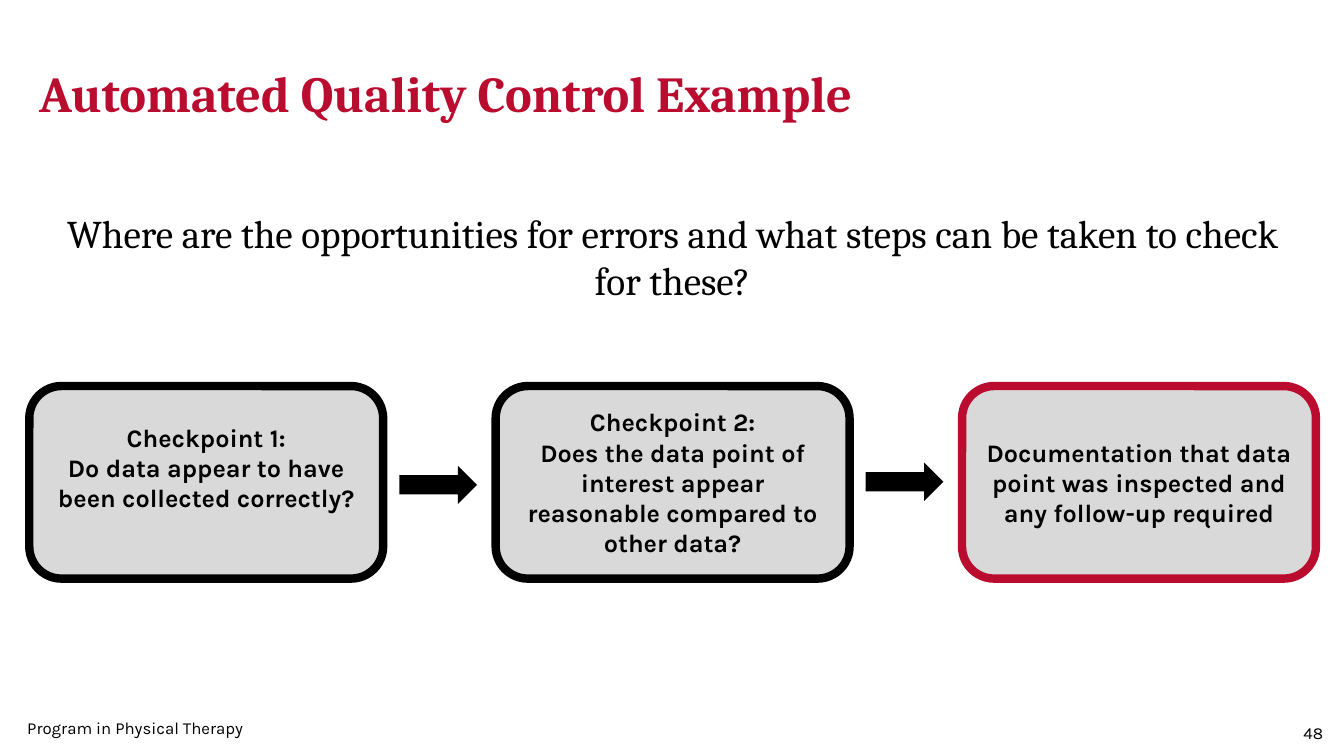
"""Build the automated quality control slide on a grid of 100 columns by 100 rows."""
from dataclasses import dataclass

import pptx
import pptx.dml.color
import pptx.enum.shapes
import pptx.enum.text
import pptx.util

SHAPES = pptx.enum.shapes.MSO_SHAPE
ALIGN = pptx.enum.text.PP_ALIGN
ANCHOR = pptx.enum.text.MSO_ANCHOR
SLIDE_WIDTH = pptx.util.Inches(13.33)
SLIDE_HEIGHT = pptx.util.Inches(7.5)
INSET = pptx.util.Inches(0.1)
BLACK, CRIMSON, GREY = "000000", "BA0C2F", "D9D9D9"
STEP_LEFT, STEP_TOP, STEP_PITCH = 2.18, 51.07, 34.7
STEP_WIDTH, STEP_HEIGHT = 26.33, 25.47
ARROW_LEFT, ARROW_TOPS = 29.71, (61.6, 61.2)


@dataclass(frozen=True)
class Area:
    """A place on the grid, in columns and rows."""
    left: float
    top: float
    width: float
    height: float

    def lengths(self) -> tuple[int, int, int, int]:
        """Return left, top, width and height as slide lengths."""
        return (column(self.left), row(self.top),
                column(self.width), row(self.height))


@dataclass(frozen=True)
class Label:
    """A piece of free text with its look."""
    area: Area
    text: str
    size: int
    font: str = "Karla"
    color: str = BLACK
    bold: bool = False
    align: ALIGN = ALIGN.LEFT
    anchor: ANCHOR = ANCHOR.TOP
    inset: float = 1


@dataclass(frozen=True)
class Step:
    """One box of the checking process."""
    lines: tuple[str, ...]
    outline: str = BLACK
    bottom_inset: float = 0.05


LABELS = (
    Label(Area(95.35, 94.93, 4.73, 4), "48", 12, align=ALIGN.CENTER),
    Label(Area(2.03, 94.93, 72.32, 2.67), "Program in Physical Therapy", 12, inset=0),
    Label(Area(2.18, 5.07, 79.14, 14.27), "Automated Quality Control Example", 36,
          "Cambria", CRIMSON, True, anchor=ANCHOR.MIDDLE),
    Label(Area(3.6, 27.07, 92.87, 13.07),
          "Where are the opportunities for errors and what steps can be taken "
          "to check for these?", 28, "Cambria", align=ALIGN.CENTER),
)
STEPS = (
    Step(("Checkpoint 1:", "Do data appear to have been collected correctly?"),
         bottom_inset=0.35),
    Step(("Checkpoint 2:", "Does the data point of interest appear reasonable "
          "compared to other data?")),
    Step(("Documentation that data point was inspected and any follow-up required",),
         CRIMSON),
)


def column(count: float) -> int:
    """Return the length of a number of columns."""
    return round(SLIDE_WIDTH * count / 100)


def row(count: float) -> int:
    """Return the length of a number of rows."""
    return round(SLIDE_HEIGHT * count / 100)


def rgb(value: str) -> pptx.dml.color.RGBColor:
    """Turn a hex string into a colour."""
    return pptx.dml.color.RGBColor.from_string(value)


def apply(target: object, values: dict[str, object]) -> None:
    """Set each named attribute on the target."""
    for name, value in values.items():
        setattr(target, name, value)


def write(frame, lines: tuple[str, ...], align: ALIGN, color: str,
          font: dict[str, object]) -> None:
    """Fill a text frame with one paragraph per line."""
    frame.text = "\n".join(lines)
    for paragraph in frame.paragraphs:
        paragraph.alignment = align
        apply(paragraph.runs[0].font, font)
        paragraph.runs[0].font.color.rgb = rgb(color)


def draw_label(slide, label: Label) -> None:
    """Draw a text box."""
    frame = slide.shapes.add_textbox(*label.area.lengths()).text_frame
    side, end = round(INSET * label.inset), round(INSET * label.inset / 2)
    apply(frame, {"word_wrap": True, "vertical_anchor": label.anchor,
                  "margin_left": side, "margin_right": side,
                  "margin_top": end, "margin_bottom": end})
    write(frame, (label.text,), label.align, label.color,
          {"name": label.font, "size": pptx.util.Pt(label.size), "bold": label.bold})


def draw_shape(slide, kind: SHAPES, area: Area, fill: str):
    """Draw a flat filled shape without an outline."""
    shape = slide.shapes.add_shape(kind, *area.lengths())
    shape.shadow.inherit = False
    shape.fill.solid()
    shape.fill.fore_color.rgb = rgb(fill)
    shape.line.fill.background()
    return shape


def draw_step(slide, index: int, step: Step) -> None:
    """Draw one outlined box of the process."""
    area = Area(STEP_LEFT + index * STEP_PITCH, STEP_TOP, STEP_WIDTH, STEP_HEIGHT)
    box = draw_shape(slide, SHAPES.ROUNDED_RECTANGLE, area, GREY)
    box.line.color.rgb = rgb(step.outline)
    box.line.width = pptx.util.Pt(6)
    apply(box.text_frame, {"word_wrap": True, "vertical_anchor": ANCHOR.MIDDLE,
                           "margin_bottom": pptx.util.Inches(step.bottom_inset)})
    write(box.text_frame, step.lines, ALIGN.CENTER, BLACK,
          {"name": "Karla", "size": pptx.util.Pt(18), "bold": True})


def main() -> None:
    """Build and save the slide."""
    deck = pptx.Presentation()
    apply(deck, {"slide_width": SLIDE_WIDTH, "slide_height": SLIDE_HEIGHT})
    slide = deck.slides.add_slide(deck.slide_layouts[6])
    for label in LABELS:
        draw_label(slide, label)
    for index, step in enumerate(STEPS):
        draw_step(slide, index, step)
    for index, top in enumerate(ARROW_TOPS):
        area = Area(ARROW_LEFT + index * STEP_PITCH, top, 5.78, 5.07)
        draw_shape(slide, SHAPES.RIGHT_ARROW, area, BLACK)
    deck.save("out.pptx")


if __name__ == "__main__":
    main()
